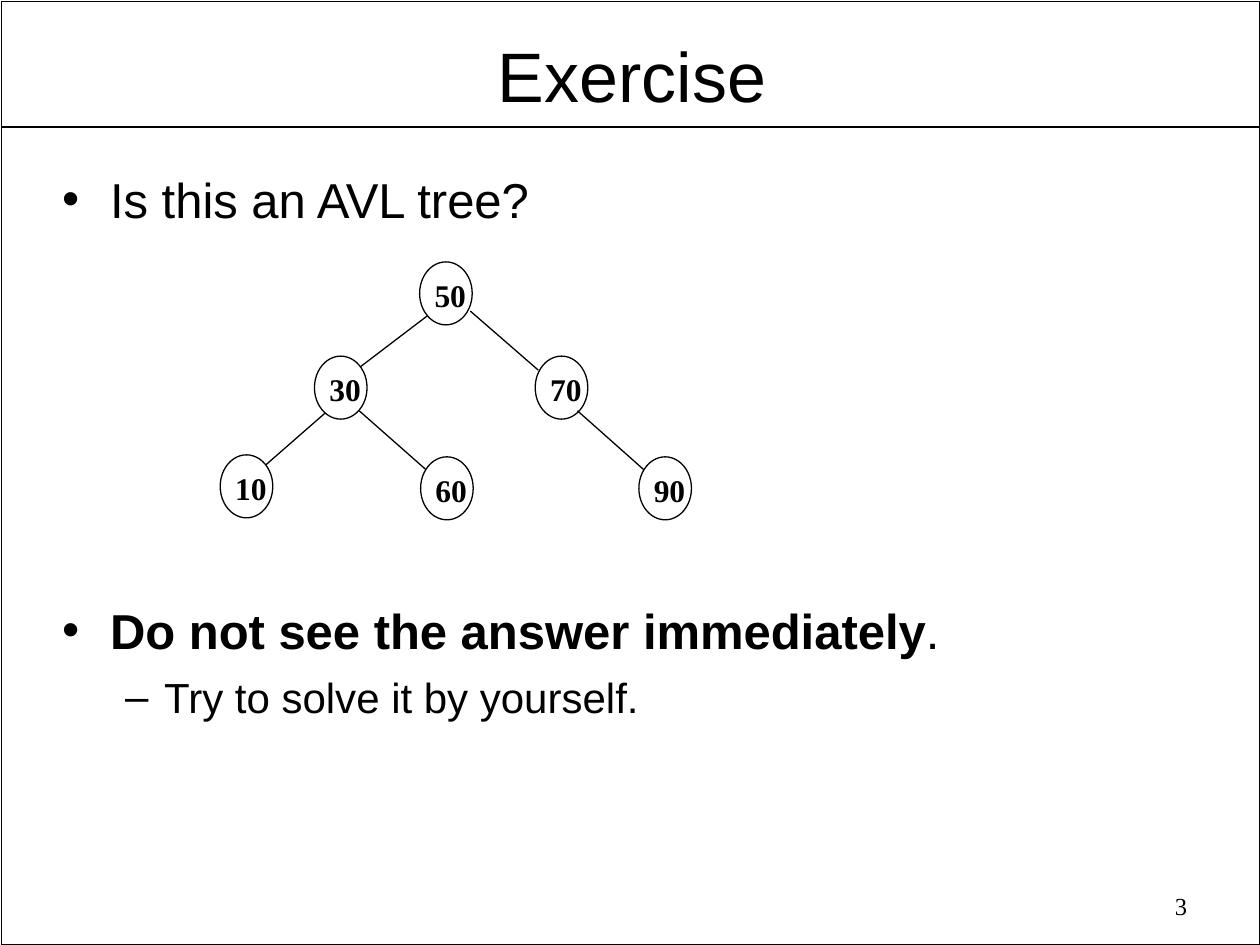
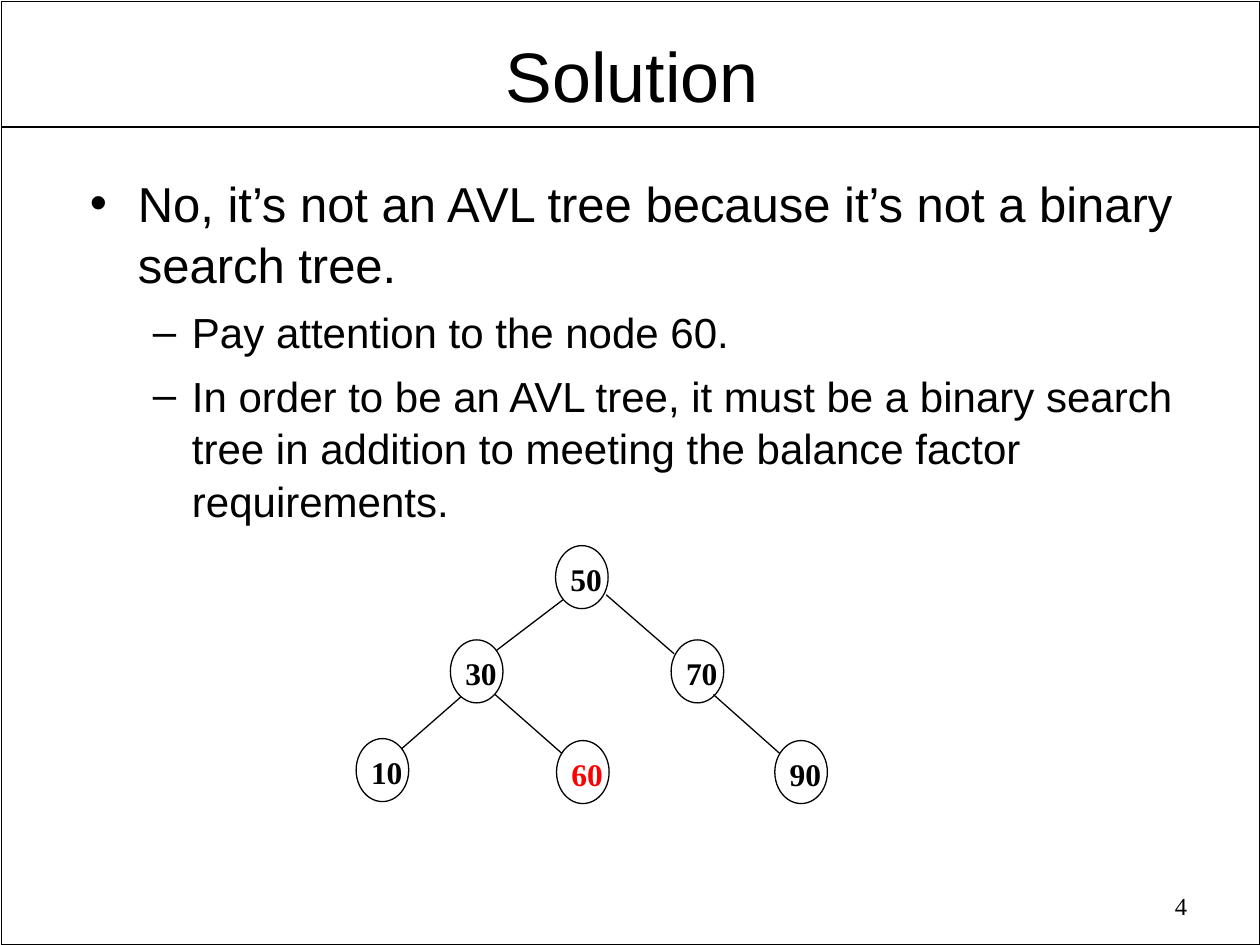
from lxml.etree import SubElement
from pptx import Presentation
from pptx.dml.color import RGBColor
from pptx.enum.shapes import MSO_CONNECTOR, MSO_SHAPE
from pptx.enum.text import MSO_ANCHOR, MSO_AUTO_SIZE, PP_ALIGN
from pptx.oxml.ns import qn
from pptx.util import Cm, Pt

BLACK = RGBColor(0x00, 0x00, 0x00)
RED = RGBColor(0xFF, 0x00, 0x00)
LINE_SPACING = 1.05

# Shared text formats
TITLE_FONT = {"name": "Arial", "size": Pt(40)}
LIST_FONTS = [{"name": "Arial", "size": Pt(28)}, {"name": "Arial", "size": Pt(24)}]
LIST_INDENTS = [(0.97, -0.97), (2.06, -0.79)]
NUMBER_FONT = {"name": "Times New Roman", "size": Pt(14)}
NODE_FONT = {"name": "Times New Roman", "size": Pt(18), "bold": True}
TITLE_FRAME = {"margin_left": Cm(0.18), "margin_right": Cm(0.18),
               "margin_top": Cm(0.1), "margin_bottom": Cm(0.08),
               "vertical_anchor": MSO_ANCHOR.TOP, "auto_size": MSO_AUTO_SIZE.NONE}
LIST_FRAME = {**TITLE_FRAME, "margin_top": Cm(0.15)}

# Tree geometry in cm, measured from the top left of the root
NODES = {"50": (0, 0), "30": (-2.12, 1.9), "70": (2.33, 1.9),
         "10": (-4.02, 3.89), "90": (4.42, 3.93), "60": (0.02, 3.93)}
BRANCHES = [(0.15, 1.09, -1.19, 2.11), (-1.91, 3.05, -3.1, 4.09),
            (2.39, 2.18, 1.02, 0.99), (4.52, 4.19, 3.18, 3.0),
            (0.13, 4.19, -1.22, 3.0)]

# Lists hold (level, space before in points, [(text, bold), ...])
SLIDES = [
    {"title": "Exercise", "number": "3", "root": (8.46, 5.28), "marked": None,
     "list_box": (1.07, 3.2, 23.29, 13.94),
     "list": [(0, 0, [("Is this an AVL tree?", False)]),
              (0, 211, [("Do not see the answer immediately", True), (".", False)]),
              (1, 6, [("Try to solve it by yourself.", False)])]},
    {"title": "Solution", "number": "4", "root": (11.2, 11.0), "marked": "60",
     "list_box": (1.63, 3.28, 23.29, 7.47),
     "list": [(0, 0, [("No, it’s not an AVL tree because it’s not a binary "
                       "search tree.", False)]),
              (1, 6, [("Pay attention to the node 60.", False)]),
              (1, 6, [("In order to be an AVL tree, it must be a binary search tree "
                       "in addition to meeting the balance factor requirements.",
                       False)])]},
]


def write(paragraph, text, font_values, color=BLACK):
    paragraph.line_spacing = LINE_SPACING
    run = paragraph.add_run()
    run.text = text
    for name, value in font_values.items():
        setattr(run.font, name, value)
    run.font.color.rgb = color


def draw_line(shapes, start_x, start_y, end_x, end_y, width):
    line = shapes.add_connector(MSO_CONNECTOR.STRAIGHT, Cm(start_x), Cm(start_y),
                                Cm(end_x), Cm(end_y))
    line.line.color.rgb = BLACK
    line.line.width = Pt(width)
    SubElement(line._element.spPr, qn("a:effectLst"))


presentation = Presentation()
presentation.slide_width = Cm(25.4)
presentation.slide_height = Cm(19.05)

for content in SLIDES:
    slide = presentation.slides.add_slide(presentation.slide_layouts[1])
    shapes = slide.shapes
    title, answer_list = slide.placeholders

    # Frame and rule under the title
    border = shapes.add_shape(MSO_SHAPE.RECTANGLE, Cm(0.03), Cm(0.03),
                              Cm(25.37), Cm(19.02))
    border.shadow.inherit = False
    border.fill.background()
    border.line.color.rgb = BLACK
    border.line.width = Pt(1)
    draw_line(shapes, 0.03, 2.56, 25.37, 2.56, 1)

    # Title and list placeholders
    for part, box, frame_values in ((title, (1.35, 0.48, 22.78, 1.83), TITLE_FRAME),
                                    (answer_list, content["list_box"], LIST_FRAME)):
        part.left, part.top, part.width, part.height = map(Cm, box)
        for name, value in frame_values.items():
            setattr(part.text_frame, name, value)
    heading = title.text_frame.paragraphs[0]
    heading.alignment = PP_ALIGN.CENTER
    write(heading, content["title"], TITLE_FONT)

    for index, (level, space_before, pieces) in enumerate(content["list"]):
        frame = answer_list.text_frame
        item = frame.add_paragraph() if index else frame.paragraphs[0]
        item.level = level
        item.space_before = Pt(space_before)
        margin, indent = LIST_INDENTS[level]
        properties = item._p.get_or_add_pPr()
        properties.set("marL", str(Cm(margin)))
        properties.set("indent", str(Cm(indent)))
        for text, bold in pieces:
            write(item, text, {**LIST_FONTS[level], "bold": bold})

    # Page number
    page_number = shapes.add_textbox(Cm(18.24), Cm(17.81), Cm(5.94), Cm(0.91))
    page_number.text_frame.word_wrap = True
    number_line = page_number.text_frame.paragraphs[0]
    number_line.alignment = PP_ALIGN.RIGHT
    write(number_line, content["number"], NUMBER_FONT)

    # Tree: each key with its circle, then the branches
    root_x, root_y = content["root"]
    for key, (offset_x, offset_y) in NODES.items():
        x, y = root_x + offset_x, root_y + offset_y
        node = shapes.add_group_shape()
        label = node.shapes.add_textbox(Cm(x + 0.05), Cm(y + 0.12), Cm(1.14), Cm(1.02))
        label.text_frame.word_wrap = False
        write(label.text_frame.paragraphs[0], key, NODE_FONT,
              RED if key == content["marked"] else BLACK)
        circle = node.shapes.add_shape(MSO_SHAPE.OVAL, Cm(x), Cm(y), Cm(1.06), Cm(1.27))
        circle.shadow.inherit = False
        circle.fill.background()
        circle.line.color.rgb = BLACK
        circle.line.width = Pt(0.75)
    for start_x, start_y, end_x, end_y in BRANCHES:
        draw_line(shapes, root_x + start_x, root_y + start_y,
                  root_x + end_x, root_y + end_y, 0.75)

presentation.save("out.pptx")
